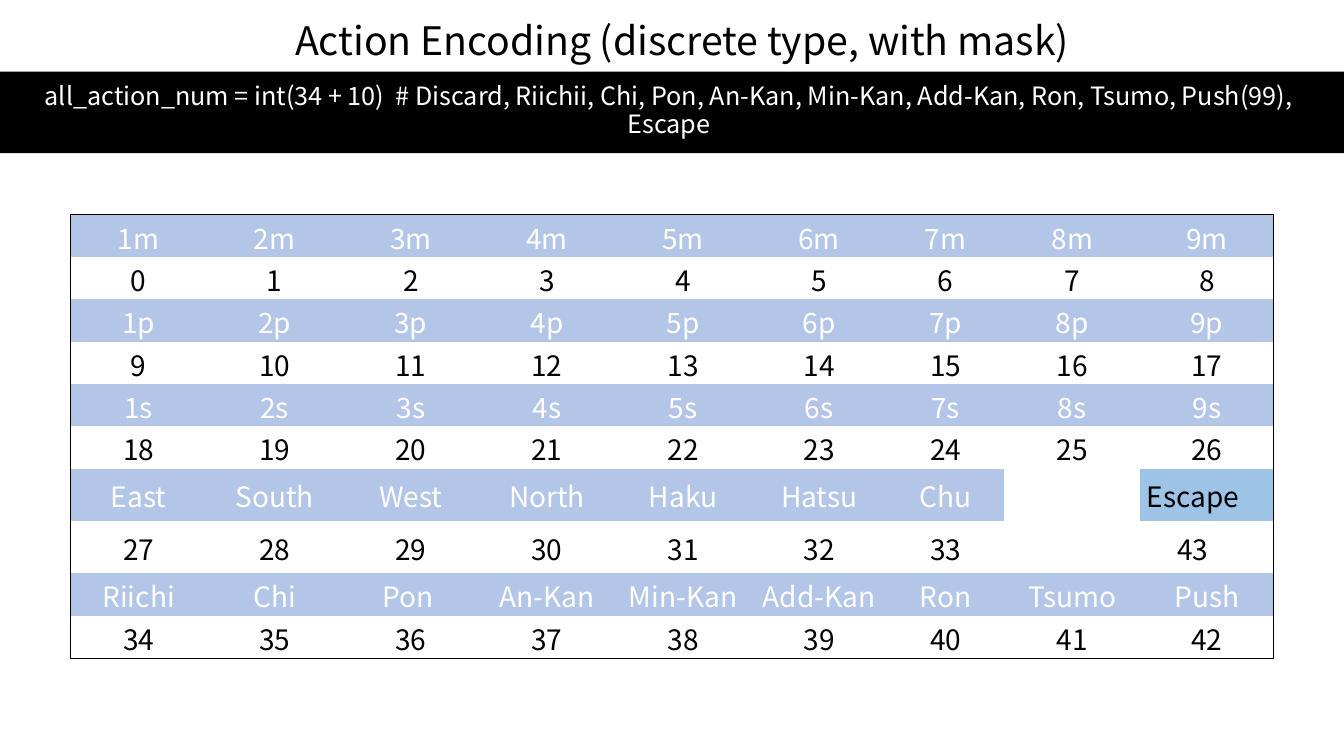
from lxml.etree import SubElement as Sub
from pptx import Presentation
from pptx.dml.color import RGBColor
from pptx.enum.shapes import MSO_SHAPE as Kind
from pptx.enum.text import MSO_ANCHOR as Anchor, MSO_AUTO_SIZE as Auto, PP_ALIGN as Align
from pptx.oxml.ns import qn
from pptx.util import Inches, Pt

BLACK, WHITE, BLUE, SKY = "000000", "FFFFFF", "B4C6E7", "9DC3E6"


def color(code):
    return RGBColor.from_string(code)


class Deck:
    font = "Noto Sans CJK SC"

    def __init__(self):
        self.prs = Presentation()
        self.prs.slide_width = Inches(13.33)
        self.prs.slide_height = Inches(7.5)
        self.slide = self.prs.slides.add_slide(self.prs.slide_layouts[6])

    def run(self, para, text, size, code):
        run = para.add_run()
        run.text = text
        run.font.size = Pt(size)
        run.font.name = self.font
        run.font.color.rgb = color(code)
        Sub(run.font._element, qn("a:ea"), typeface=self.font)

    def bar(self, box, code):
        shape = self.slide.shapes.add_shape(Kind.RECTANGLE, *map(Inches, box))
        shape.shadow.inherit = False
        shape.fill.solid()
        shape.fill.fore_color.rgb = color(code)
        shape.line.fill.background()

    def text(self, box, text, size, code, align=Align.LEFT, anchor=Anchor.TOP):
        frame = self.slide.shapes.add_textbox(*map(Inches, box)).text_frame
        frame.word_wrap = True
        frame.vertical_anchor = anchor
        para = frame.paragraphs[0]
        para.alignment = align
        self.run(para, text, size, code)
        return frame

    def edge(self, cell, side, shown):
        line = Sub(cell._tc.get_or_add_tcPr(), qn("a:ln" + side), w=str(Pt(0.5)))
        if shown:
            fill = Sub(line, qn("a:solidFill"))
            Sub(fill, qn("a:srgbClr"), val=BLACK)
        else:
            Sub(line, qn("a:noFill"))

    def cell(self, cell, text, code, fill, edges):
        for side in "LRTB":
            self.edge(cell, side, side in edges)
        if fill:
            cell.fill.solid()
            cell.fill.fore_color.rgb = color(fill)
        else:
            cell.fill.background()
        cell.margin_left = cell.margin_right = cell.margin_top = Inches(0.02)
        cell.margin_bottom = 0
        cell.vertical_anchor = Anchor.MIDDLE
        para = cell.text_frame.paragraphs[0]
        para.alignment = Align.CENTER
        if text:
            self.run(para, text, 20, code)

    def table(self, left, top, widths, highs, rows):
        table = self.slide.shapes.add_table(
            len(rows), len(widths), Inches(left), Inches(top),
            Inches(sum(widths)), Inches(sum(highs))).table
        table.first_row = table.horz_banding = False
        for col, width in zip(table.columns, widths):
            col.width = Inches(width)
        for row, high in zip(table.rows, highs):
            row.height = Inches(high)
        last, end = len(rows) - 1, len(widths) - 1
        for r, row in enumerate(rows):
            for c, text in enumerate(row):
                edges = [side for side, on in zip(
                    "LRTB", (c == 0, c == end, r == 0, r == last)) if on]
                code, fill = (BLACK, None) if r % 2 else (WHITE, BLUE)
                if not text:
                    fill = None
                elif text.startswith("Escape"):
                    code, fill = BLACK, SKY
                self.cell(table.cell(r, c), text, code, fill, edges)


def main():
    deck = Deck()
    deck.bar((0, 0.71, 13.33, 0.81), BLACK)
    note = deck.text(
        (0, 0.7, 13.27, 0.81),
        "all_action_num = int(34 + 10)  # Discard, Riichii, Chi, Pon, An-Kan, "
        "Min-Kan, Add-Kan, Ron, Tsumo, Push(99), Escape",
        18, WHITE, Align.CENTER, Anchor.MIDDLE)
    note.paragraphs[0].line_spacing = 0.9
    note.paragraphs[0].space_after = Pt(6)

    rows = []
    for s, suit in enumerate("mps"):
        rows.append([f"{n}{suit}" for n in range(1, 10)])
        rows.append([str(9 * s + n) for n in range(9)])
    rows.append(["East", "South", "West", "North", "Haku", "Hatsu", "Chu", "", "Escape　"])
    rows.append([str(n) for n in range(27, 34)] + ["", "43　"])
    rows.append(["Riichi", "Chi", "Pon ", "An-Kan", "Min-Kan", "Add-Kan", "Ron", "Tsumo", "Push"])
    rows.append([str(n) for n in range(34, 43)])
    widths = [1.35] * 6 + [1.16, 1.35, 1.32]
    highs = [0.42] * 6 + [0.52] * 2 + [0.42] * 2
    deck.table(0.7, 2.13, widths, highs, rows)

    title = deck.text((2.83, 0.11, 8.67, 0.57),
                      "Action Encoding (discrete type, with mask)", 28, BLACK)
    title.auto_size = Auto.SHAPE_TO_FIT_TEXT
    deck.prs.save("out.pptx")


if __name__ == "__main__":
    main()
